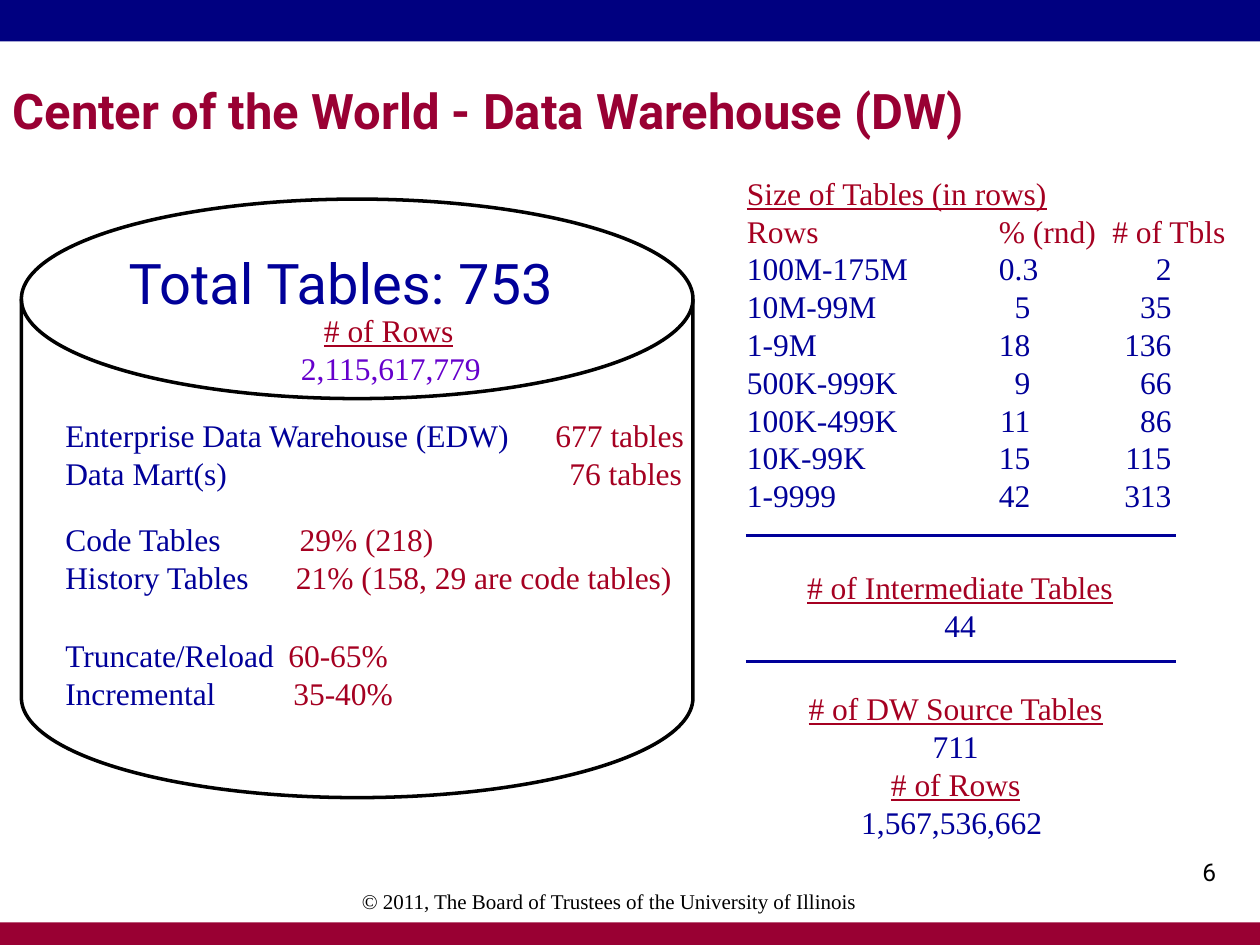
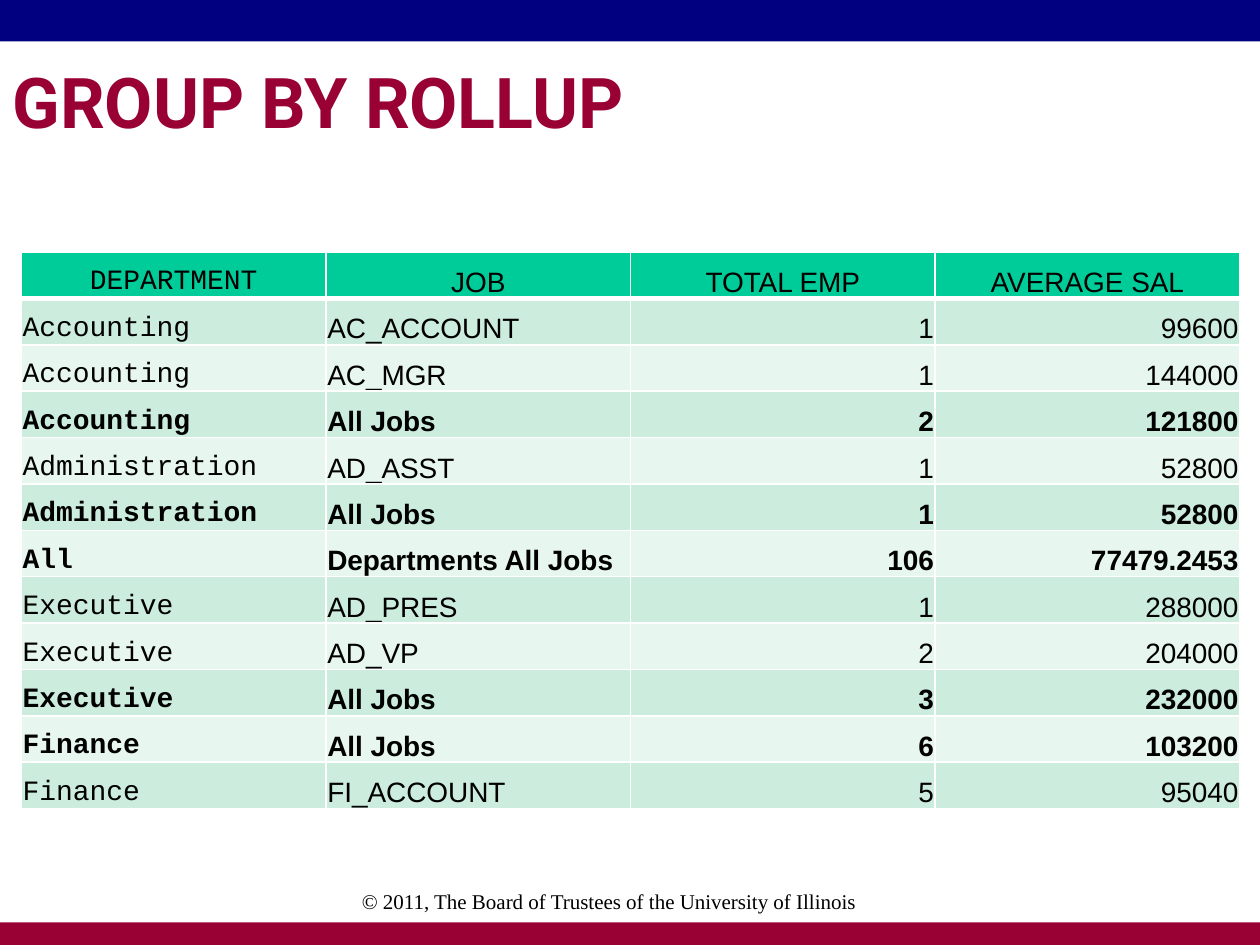
import pptx
import pptx.util
import pptx.dml.color
import pptx.enum.shapes
import pptx.enum.text
import pptx.oxml
import pptx.oxml.ns
from lxml import etree

Inches, Pt = pptx.util.Inches, pptx.util.Pt
MSO_SHAPE = pptx.enum.shapes.MSO_SHAPE
ALIGN = pptx.enum.text.PP_ALIGN
ANCHOR = pptx.enum.text.MSO_ANCHOR
qn = pptx.oxml.ns.qn

# Shared colours, fonts and formats
NAVY, MAROON, BLUE, RED = "000080", "990033", "000099", "A50021"
PURPLE, BLACK, WHITE = "6600CC", "000000", "FFFFFF"
SERIF, SANS = "Times New Roman", "Roboto"
COPYRIGHT = "© 2011, The Board of Trustees of the University of Illinois"
LABEL = {"name": SERIF, "size": Pt(18), "color": BLUE}
VALUE = {**LABEL, "color": RED}
HEADING = {**VALUE, "underline": True}


def rgb(value):
    return pptx.dml.color.RGBColor.from_string(value)


def fill(target, color):
    target.fill.solid()
    target.fill.fore_color.rgb = rgb(color)


def add_run(p, text, fmt):
    r = p.add_run()
    r.text = text
    for key, value in fmt.items():
        if key == "color":
            r.font.color.rgb = rgb(value)
        else:
            setattr(r.font, key, value)


def set_tabs(p, stops):
    """Add tab stops, each a (position in inches, 'l' or 'r') pair."""
    tab_list = etree.SubElement(p._p.get_or_add_pPr(), qn("a:tabLst"))
    for pos, side in stops:
        etree.SubElement(tab_list, qn("a:tab"), pos=str(Inches(pos)), algn=side)


def add_text(s, box, lines, align=ALIGN.LEFT):
    """Add a text box; each line is a list of (text, format) runs."""
    tf = s.shapes.add_textbox(*map(Inches, box)).text_frame
    tf.word_wrap = True
    for i, runs in enumerate(lines):
        p = tf.add_paragraph() if i else tf.paragraphs[0]
        p.alignment = align
        for text, fmt in runs:
            add_run(p, text, fmt)
    return tf


def fill_placeholder(ph, box, text, fmt, anchor):
    ph.left, ph.top, ph.width, ph.height = map(Inches, box)
    tf = ph.text_frame
    tf.auto_size = pptx.enum.text.MSO_AUTO_SIZE.NONE
    tf.vertical_anchor = anchor
    p = tf.paragraphs[0]
    p.alignment = ALIGN.LEFT
    add_run(p, text, fmt)
    return p


def add_bands(prs, s):
    """Draw the top and bottom bands and move them to the slide master."""
    tree = prs.slide_master.shapes._spTree
    for top, height, color in ((0, 0.33, NAVY), (7.32, 0.18, MAROON)):
        sp = s.shapes.add_shape(MSO_SHAPE.RECTANGLE, 0, Inches(top),
                                prs.slide_width, Inches(height))
        sp.shadow.inherit = False
        fill(sp, color)
        sp.line.fill.background()
        tree.insert(2, sp._element)


def add_slide(prs, layout, title, title_box, size):
    s = prs.slides.add_slide(prs.slide_layouts[layout])
    fmt = {"name": SANS, "size": Pt(size), "bold": True, "color": MAROON}
    fill_placeholder(s.shapes.title, title_box, title, fmt, ANCHOR.MIDDLE)
    add_text(s, (2.17, 7, 5.33, 0.5),
             [[(COPYRIGHT, {"name": SERIF, "size": Pt(12), "color": BLACK})]],
             ALIGN.CENTER)
    return s


# Warehouse slide
def add_warehouse(s, left, top, width, height):
    """Draw the cylinder with the counts written on it."""
    # The drum lies on its side, so it is turned upright about its centre
    drum = s.shapes.add_shape(
        MSO_SHAPE.FLOWCHART_DIRECT_ACCESS_STORAGE,
        Inches(left + (width - height) / 2), Inches(top + (height - width) / 2),
        Inches(height), Inches(width))
    drum.rotation = 270
    drum.shadow.inherit = False
    fill(drum, WHITE)
    drum.line.color.rgb = rgb(BLACK)
    drum.line.width = Pt(2)
    s.shapes._spTree.insert(2, drum._element)

    # Totals on the lid
    p = fill_placeholder(s.placeholders[1], (left + 0.75, top + 0.34, 3.92, 0.75),
                         "Total Tables: 753",
                         {"name": SANS, "size": Pt(32), "color": BLUE}, ANCHOR.TOP)
    pPr = p._p.get_or_add_pPr()
    pPr.set("marL", str(Inches(0.38)))
    pPr.set("indent", str(Inches(-0.38)))
    etree.SubElement(pPr, qn("a:buNone"))
    tf = add_text(s, (left + 2, top + 0.84, 1.83, 0.71),
                  [[("# of Rows", HEADING)],
                   [("2,115,617,779", {**LABEL, "color": PURPLE})]], ALIGN.CENTER)
    rows_total = tf.paragraphs[1]
    rows_total.alignment = ALIGN.LEFT
    rows_total._p.get_or_add_pPr().set("marL", str(Inches(0.12)))

    # Pairs of label, value and position of the value
    groups = (
        (1.67, (("Enterprise Data Warehouse (EDW)", "677 tables", 3.89),
                ("Data Mart(s)", "76 tables", 4))),
        (2.5, (("Code Tables", "29% (218)", 1.86),
               ("History Tables", "21% (158, 29 are code tables)", 1.83))),
        (3.42, (("Truncate/Reload", "60-65%", 1.77),
                ("Incremental", "35-40%", 1.81))),
    )
    for offset, pairs in groups:
        tf = add_text(s, (left + 0.25, top + offset, 5.17, 0.71),
                      [[(label + "\t", LABEL), (value, VALUE)]
                       for label, value, _ in pairs])
        for p, (_, _, stop) in zip(tf.paragraphs, pairs):
            set_tabs(p, [(stop, "l")])


def add_table_sizes(s, left, top, width, height):
    """List the tables by size in three tabbed columns."""
    sizes = (("100M-175M", "0.3", "2"), ("10M-99M", "5", "35"),
             ("1-9M", "18", "136"), ("500K-999K", "9", "66"),
             ("100K-499K", "11", "86"), ("10K-99K", "15", "115"),
             ("1-9999", "42", "313"))
    lines = [[("Size of Tables (in rows)", HEADING)],
             [("Rows\t% (rnd)\t# of Tbls", VALUE)]]
    lines += [[("\t".join(row), LABEL)] for row in sizes]
    tf = add_text(s, (left, top, width, height), lines)
    tf.margin_right = 0
    set_tabs(tf.paragraphs[1], [(2, "l"), (2.9, "l")])
    for p, (_, percent, _) in zip(tf.paragraphs[2:], sizes):
        percent_stop = (2, "l") if "." in percent else (2.25, "r")
        set_tabs(p, [percent_stop, (3.37, "r")])


def add_source_counts(s, left, top, width):
    """Show intermediate and source counts, each under a rule."""
    for y in (top, top + 1):
        rule = s.shapes.add_connector(
            pptx.enum.shapes.MSO_CONNECTOR.STRAIGHT,
            Inches(left), Inches(y), Inches(left + width), Inches(y))
        rule.line.color.rgb = rgb(BLUE)
        rule.line.width = Pt(1.5)
        etree.SubElement(rule._element.spPr, qn("a:effectLst"))
    add_text(s, (left + 0.16, top + 0.21, 3.08, 0.71),
             [[("# of Intermediate Tables", HEADING)], [("44", LABEL)]],
             ALIGN.CENTER)
    add_text(s, (left, top + 1.17, 3.33, 1.31),
             [[("# of DW Source Tables", HEADING)], [("711", LABEL)],
              [("# of Rows", HEADING)], [("1,567,536,662 ", LABEL)]],
             ALIGN.CENTER)


# Rollup slide
def set_borders(cell, bottom, top):
    tcPr = cell._tc.get_or_add_tcPr()
    for side, width in (("L", 1), ("R", 1), ("T", top), ("B", bottom)):
        ln = etree.SubElement(tcPr, qn("a:ln" + side), w=str(Pt(width)))
        solid = etree.SubElement(ln, qn("a:solidFill"))
        etree.SubElement(solid, qn("a:srgbClr"), val=WHITE)


def add_rollup_table(s, left, top, width, height):
    rows = (("DEPARTMENT", "JOB", "TOTAL EMP", "AVERAGE SAL"),
            ("Accounting", "AC_ACCOUNT", "1", "99600"),
            ("Accounting", "AC_MGR", "1", "144000"),
            ("Accounting", "All Jobs", "2", "121800"),
            ("Administration", "AD_ASST", "1", "52800"),
            ("Administration", "All Jobs", "1", "52800"),
            ("All", "Departments All Jobs", "106", "77479.2453"),
            ("Executive", "AD_PRES", "1", "288000"),
            ("Executive", "AD_VP", "2", "204000"),
            ("Executive", "All Jobs", "3", "232000"),
            ("Finance", "All Jobs", "6", "103200"),
            ("Finance", "FI_ACCOUNT", "5", "95040"))
    table = s.shapes.add_table(len(rows), len(rows[0]), Inches(left), Inches(top),
                               Inches(width), Inches(height)).table
    table.first_row = table.horz_banding = False
    cell_format = {"margin_left": Inches(0.01), "margin_right": Inches(0.01),
                   "margin_top": Inches(0.01), "margin_bottom": 0,
                   "vertical_anchor": ANCHOR.BOTTOM}
    for i, row in enumerate(rows):
        band = "00CC99" if i == 0 else ("E7F6EF", "CCECDE")[i % 2]
        subtotal = row[1].endswith("All Jobs")
        for j, text in enumerate(row):
            cell = table.cell(i, j)
            for key, value in cell_format.items():
                setattr(cell, key, value)
            set_borders(cell, bottom=3 if i == 0 else 1, top=3 if i == 1 else 1)
            fill(cell, band)
            p = cell.text_frame.paragraphs[0]
            p.alignment = (ALIGN.CENTER if i == 0
                           else ALIGN.RIGHT if j > 1 else ALIGN.LEFT)
            add_run(p, text, {"name": "Arial" if j else "Courier New",
                              "size": Pt(16), "bold": subtotal, "color": BLACK})


def main():
    prs = pptx.Presentation()
    prs.slide_width, prs.slide_height = Inches(10), Inches(7.5)

    s = add_slide(prs, 1, "Center of the World - Data Warehouse (DW)",
                  (0, 0.25, 10, 1.25), 28)
    add_bands(prs, s)
    add_warehouse(s, 0.17, 1.58, 5.33, 4.75)
    add_table_sizes(s, 5.83, 1.33, 4, 2.83)
    add_source_counts(s, 5.92, 4.25, 3.41)
    add_text(s, (9.33, 6.75, 0.42, 0.5),
             [[("6", {"name": SANS, "size": Pt(14), "color": BLACK})]], ALIGN.RIGHT)

    s = add_slide(prs, 5, "GROUP BY ROLLUP", (0, 0.17, 8.5, 1.25), 40)
    add_rollup_table(s, 0.17, 2, 9.67, 4.42)

    prs.save("out.pptx")


if __name__ == "__main__":
    main()
